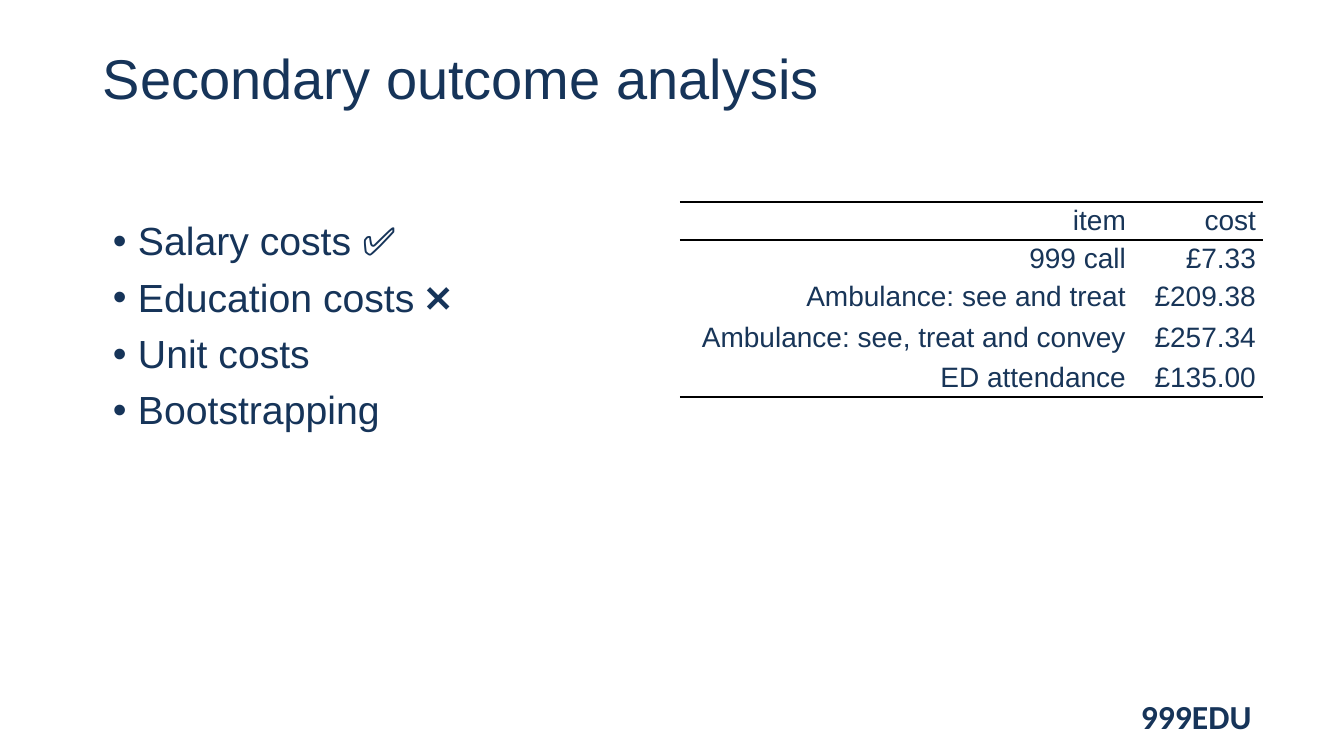
"""Build the secondary outcome analysis slide with a bullet list and a cost table."""
from pptx import Presentation
from pptx.dml.color import RGBColor
from pptx.enum.text import MSO_ANCHOR, PP_ALIGN
from pptx.oxml.ns import qn
from pptx.util import Pt
from lxml import etree

EMU_PER_PX = 914400 / 100.8
MIDDLE, TOP = MSO_ANCHOR.MIDDLE, MSO_ANCHOR.TOP
RIGHT = PP_ALIGN.RIGHT
NAVY, TABLE_NAVY, BLACK = "163459", "183558", "000000"


def px(length):
    return round(length * EMU_PER_PX)


def write(paragraph, text, size, color, font="Arial", bold=False):
    run = paragraph.add_run()
    run.text = text
    formats = {"size": Pt(size), "name": font, "bold": bold}
    for name, value in formats.items():
        setattr(run.font, name, value)
    run.font.color.rgb = RGBColor.from_string(color)


presentation = Presentation()
presentation.slide_width, presentation.slide_height = px(1344), px(756)
slide = presentation.slides.add_slide(presentation.slide_layouts[6])

bullets = ["Salary costs ✅", "Education costs ❌", "Unit costs", "Bootstrapping"]
text_boxes = [
    {"box": (1131, 691, 155, 50), "lines": ["999EDU"], "inset": (10, 5), "anchor": TOP,
     "font": (24, NAVY, "Calibri", True), "spacing": 1.0, "bulleted": False},
    {"box": (93, 40, 1159, 82), "lines": ["Secondary outcome analysis"], "inset": (10, 5),
     "anchor": MIDDLE, "font": (40, NAVY), "spacing": 0.9, "bulleted": False},
    {"box": (93, 202, 572, 447), "lines": bullets, "inset": (20, 20), "anchor": TOP,
     "font": (28, NAVY), "spacing": 0.9, "bulleted": True},
]
for item in text_boxes:
    frame = slide.shapes.add_textbox(*map(px, item["box"])).text_frame
    side, end = map(px, item["inset"])
    formats = {"word_wrap": True, "vertical_anchor": item["anchor"], "margin_left": side,
               "margin_right": side, "margin_top": end, "margin_bottom": end}
    for name, value in formats.items():
        setattr(frame, name, value)
    for index, line in enumerate(item["lines"]):
        paragraph = frame.add_paragraph() if index else frame.paragraphs[0]
        paragraph.line_spacing = item["spacing"]
        write(paragraph, line, *item["font"])
        if item["bulleted"]:
            paragraph.space_before = Pt(10)
            properties = paragraph._p.get_or_add_pPr()
            properties.set("marL", str(px(25)))
            properties.set("indent", str(px(-25)))
            etree.SubElement(properties, qn("a:buFont"), typeface="Arial")
            etree.SubElement(properties, qn("a:buChar"), char="•")

costs = [
    ("item", "cost"),
    ("999 call", "£7.33"),
    ("Ambulance: see and treat", "£209.38"),
    ("Ambulance: see, treat and convey", "£257.34"),
    ("ED attendance", "£135.00"),
]
column_widths = [453, 130]
row_heights = [38, 38, 38, 43, 38]
ruled_edges = {0, 1, len(costs)}
table = slide.shapes.add_table(len(costs), len(column_widths), px(680), px(202),
                               px(sum(column_widths)), px(sum(row_heights))).table
table.first_row = table.horz_banding = False
for column, width in zip(table.columns, column_widths):
    column.width = px(width)
for row, height in zip(table.rows, row_heights):
    row.height = px(height)

for row_index, values in enumerate(costs):
    for column_index, value in enumerate(values):
        cell = table.cell(row_index, column_index)
        formats = {"margin_left": 0, "margin_right": 0, "margin_top": 0,
                   "margin_bottom": 0, "vertical_anchor": MIDDLE}
        for name, setting in formats.items():
            setattr(cell, name, setting)
        paragraph = cell.text_frame.paragraphs[0]
        paragraph.alignment = RIGHT
        paragraph.space_before = paragraph.space_after = Pt(2)
        for margin in ("marL", "marR"):
            paragraph._p.get_or_add_pPr().set(margin, str(px(7)))
        write(paragraph, value, 20, TABLE_NAVY)

        borders = {"lnL": False, "lnR": False, "lnT": row_index in ruled_edges,
                   "lnB": row_index + 1 in ruled_edges}
        cell_properties = cell._tc.get_or_add_tcPr()
        for tag, ruled in borders.items():
            border = etree.SubElement(cell_properties, qn(f"a:{tag}"), w=str(Pt(2)))
            if ruled:
                fill = etree.SubElement(border, qn("a:solidFill"))
                etree.SubElement(fill, qn("a:srgbClr"), val=BLACK)
            else:
                etree.SubElement(border, qn("a:noFill"))
        cell.fill.background()

presentation.save("out.pptx")
